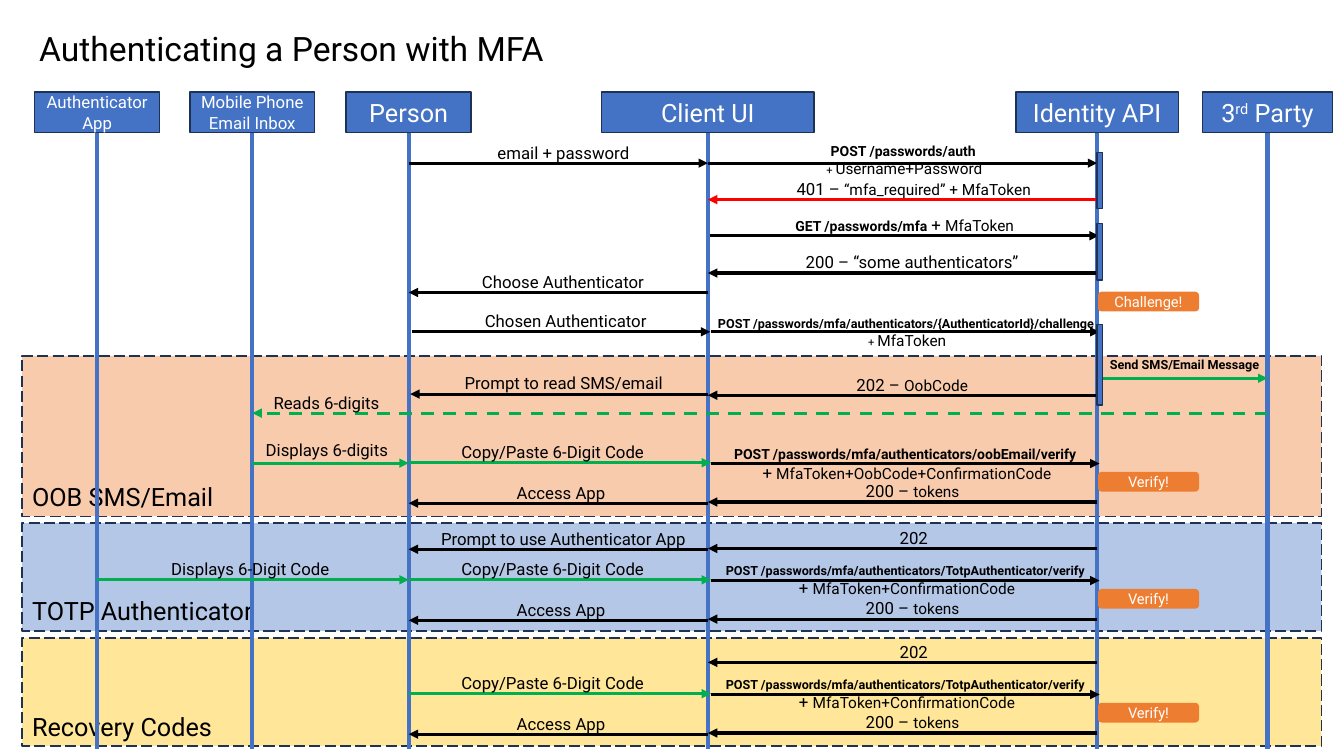
"""Build the sequence diagram slide for signing a person in with MFA."""
from dataclasses import dataclass

from lxml.etree import SubElement
from pptx import Presentation
from pptx.dml.color import RGBColor
from pptx.enum.dml import MSO_LINE
from pptx.enum.shapes import MSO_CONNECTOR, MSO_SHAPE
from pptx.enum.text import MSO_ANCHOR, MSO_AUTO_SIZE, PP_ALIGN
from pptx.oxml.ns import qn
from pptx.util import Cm, Pt


@dataclass(frozen=True)
class Theme:
    font: str = "Roboto"
    black: str = "000000"
    white: str = "FFFFFF"
    red: str = "FF0000"
    green: str = "00B050"
    blue: str = "4472C4"
    navy: str = "1E3256"
    orange: str = "ED7D31"
    peach: str = "F8CBAD"
    sky: str = "B4C7E7"
    sand: str = "FFE699"
    title: float = 24
    heading: float = 18
    label: float = 12
    detail: float = 11
    badge: float = 10.5
    request: float = 10
    small: float = 9
    plus: float = 8
    edge: float = 1
    arrow: float = 2.25
    lifeline: float = 3


T = Theme()
APP, PHONE, PERSON, CLIENT, API, PARTY = 2.45, 6.36, 10.3, 17.84, 27.65, 31.94
HEAD_TOP, HEAD_HEIGHT, LANE_END = 2.32, 1.02, 18.87


def style_run(r, size, color, bold=False):
    r.font.name = T.font
    r.font.size = Pt(size)
    r.font.bold = bold
    r.font.color.rgb = RGBColor.from_string(color)


def add_box(s, kind, left, top, width, height, fill, line, dash=None):
    sp = s.shapes.add_shape(kind, Cm(left), Cm(top), Cm(width), Cm(height))
    sp.shadow.inherit = False
    sp.fill.solid()
    sp.fill.fore_color.rgb = RGBColor.from_string(fill)
    sp.line.color.rgb = RGBColor.from_string(line)
    sp.line.width = Pt(T.edge)
    sp.line.dash_style = dash
    return sp


def fill_text(sp, text, size, color, align, anchor):
    tf = sp.text_frame
    tf.word_wrap = True
    tf.vertical_anchor = anchor
    tf.text = text
    for p in tf.paragraphs:
        p.alignment = align
        for r in p.runs:
            style_run(r, size, color)


def add_label(s, lines, left, top, width, align=PP_ALIGN.CENTER):
    height = 0.76 if len(lines) == 1 else 1.14
    sp = s.shapes.add_textbox(Cm(left), Cm(top), Cm(width), Cm(height))
    tf = sp.text_frame
    tf.word_wrap = False
    tf.auto_size = MSO_AUTO_SIZE.SHAPE_TO_FIT_TEXT
    for i, runs in enumerate(lines):
        p = tf.paragraphs[0] if i == 0 else tf.add_paragraph()
        p.alignment = align
        for text, size, bold in runs:
            r = p.add_run()
            r.text = text
            style_run(r, size, T.black, bold)


def add_line(s, x1, y1, x2, y2, color, width):
    c = s.shapes.add_connector(MSO_CONNECTOR.STRAIGHT, Cm(x1), Cm(y1), Cm(x2), Cm(y2))
    c.line.color.rgb = RGBColor.from_string(color)
    c.line.width = Pt(width)
    SubElement(c._element.spPr, qn("a:effectLst"))
    return c


def add_zone(s, top, height, fill, text):
    sp = add_box(s, MSO_SHAPE.RECTANGLE, 0.56, top, 32.74, height, fill, T.navy, MSO_LINE.LONG_DASH)
    fill_text(sp, text, T.heading, T.black, PP_ALIGN.LEFT, MSO_ANCHOR.BOTTOM)


def add_lane(s, x, width, text, size=T.heading):
    sp = add_box(s, MSO_SHAPE.RECTANGLE, x - width / 2, HEAD_TOP, width, HEAD_HEIGHT, T.blue, T.navy)
    fill_text(sp, text, size, T.white, PP_ALIGN.CENTER, MSO_ANCHOR.MIDDLE)
    add_line(s, x, HEAD_TOP + HEAD_HEIGHT, x, LANE_END, T.blue, T.lifeline)
    return sp


def add_message(s, start, end, y, lines, center, width, color=T.black, rise=0.65, dash=None):
    c = add_line(s, start, y, end, y, color, T.arrow)
    c.line.dash_style = dash
    SubElement(c.line._get_or_add_ln(), qn("a:tailEnd"), type="triangle")
    add_label(s, lines, center - width / 2, y - rise, width)


def plain(text):
    return [[(text, T.label, False)]]


def reply(code, detail):
    return [[(code + " – ", T.label, False), (detail, T.detail, False)]]


def request(call, size, plus_size, detail):
    return [[(call, size, True)], [(" + ", plus_size, False), (detail, T.detail, False)]]


def add_badge(s, top, text):
    sp = add_box(s, MSO_SHAPE.ROUNDED_RECTANGLE, 27.69, top, 2.51, 0.46, T.orange, T.orange)
    fill_text(sp, text, T.badge, T.white, PP_ALIGN.CENTER, MSO_ANCHOR.MIDDLE)


def add_verification(s, y, call, width):
    """Draw the code entry, its check and the granted access."""
    add_message(s, PERSON, CLIENT + 0.08, y, plain("Copy/Paste 6-Digit Code"), 13.93, 5.16, T.green)
    add_message(s, CLIENT + 0.08, API + 0.06, y + 0.02, call, 22.81, width, rise=0.58)
    add_message(s, API, CLIENT, y + 0.99, reply("200", "tokens"), 23, 2.92)
    add_message(s, CLIENT, PERSON, y + 1.02, plain("Access App"), 14.14, 2.77)
    add_badge(s, y + 0.25, "Verify!")


def add_lanes(s):
    add_lane(s, APP, 3.15, "Authenticator App", T.label)
    add_lane(s, PHONE, 3.15, "Mobile Phone\nEmail Inbox", T.label)
    add_lane(s, PERSON, 3.15, "Person")
    add_lane(s, CLIENT, 5.36, "Client UI")
    add_lane(s, API, 4.09, "Identity API")
    p = add_lane(s, PARTY, 3.28, "3").text_frame.paragraphs[0]
    for text, baseline in (("rd", "30000"), (" Party", "0")):
        r = p.add_run()
        r.text = text
        style_run(r, T.heading, T.white)
        r._r.get_or_add_rPr().set("baseline", baseline)


def add_sign_in(s):
    add_message(s, PERSON, CLIENT, 4.11, plain("email + password"), 14.2, 3.86)
    auth = request("POST /passwords/auth", T.request, T.plus, "Username+Password")
    add_message(s, CLIENT, API, 4.11, auth, 22.76, 4.57)
    add_message(s, API, CLIENT, 5.03, reply("401", "“mfa_required” + MfaToken"), 23.03, 6.53, T.red)
    get_mfa = [[("GET /passwords/mfa", T.request, True), (" + ", T.label, False), ("MfaToken", T.detail, False)]]
    add_message(s, CLIENT + 0.06, API + 0.04, 5.94, get_mfa, 22.8, 6.27)
    add_message(s, API, CLIENT, 6.88, plain("200 – “some authenticators”"), 22.99, 5.94)
    add_message(s, CLIENT, PERSON, 7.37, plain("Choose Authenticator"), 14.19, 4.65)
    add_message(s, PERSON + 0.08, CLIENT + 0.06, 8.36, plain("Chosen Authenticator"), 14.26, 4.65)
    challenge = request("POST /passwords/mfa/authenticators/{AuthenticatorId}/challenge",
                        T.small, T.plus, "MfaToken")
    add_message(s, CLIENT + 0.08, API + 0.06, 8.36, challenge, 22.83, 10.11, rise=0.53)
    add_badge(s, 7.37, "Challenge!")


def add_oob(s):
    add_message(s, API, CLIENT, 9.96, reply("202", "OobCode"), 22.99, 3.35)
    add_message(s, CLIENT, PERSON + 0.04, 9.93, plain("Prompt to read SMS/email"), 14.21, 5.56)
    send = [[("Send SMS/Email Message", T.small, True)]]
    add_message(s, API + 0.08, PARTY, 9.53, send, 29.85, 4.32, T.green)
    add_message(s, PARTY, PHONE, 10.41, plain("Reads 6-digits"), 8.23, 3.2, T.green, dash=MSO_LINE.DASH)
    add_message(s, PHONE, PERSON, 11.67, plain("Displays 6-digits"), 8.24, 3.63, T.green, rise=0.71)
    verify = request("POST /passwords/mfa/authenticators/oobEmail/verify",
                     T.request, T.label, "MfaToken+OobCode+ConfirmationCode")
    add_verification(s, 11.66, verify, 9.25)


def add_totp_and_recovery(s):
    verify = request("POST /passwords/mfa/authenticators/TotpAuthenticator/verify",
                     T.small, T.label, "MfaToken+ConfirmationCode")
    for y in (13.82, 16.69):
        add_message(s, API, CLIENT, y, plain("202"), 23.03, 1.24)
        add_verification(s, y + 0.79, verify, 9.7)
    add_message(s, CLIENT, PERSON, 13.84, plain("Prompt to use Authenticator App"), 14.2, 6.76)
    add_message(s, APP, PERSON, 14.61, plain("Displays 6-Digit Code"), 6.31, 4.5, T.green)


def main():
    prs = Presentation()
    prs.slide_width, prs.slide_height = Cm(33.87), Cm(19.05)
    s = prs.slides.add_slide(prs.slide_layouts[6])
    add_zone(s, 16.08, 2.72, T.sand, "Recovery Codes")
    add_zone(s, 8.97, 4.04, T.peach, "OOB SMS/Email")
    add_zone(s, 13.18, 2.72, T.sky, "TOTP Authenticator")
    title = [[("Authenticating a Person with MFA", T.title, False)]]
    add_label(s, title, 0.74, 0.58, 13.44, PP_ALIGN.LEFT)
    add_lanes(s)
    add_sign_in(s)
    add_oob(s)
    add_totp_and_recovery(s)
    for top, height in ((3.84, 1.42), (5.64, 1.42), (8.18, 2.03)):
        add_box(s, MSO_SHAPE.RECTANGLE, API, top, 0.13, height, T.blue, T.navy)
    prs.save("out.pptx")


if __name__ == "__main__":
    main()
